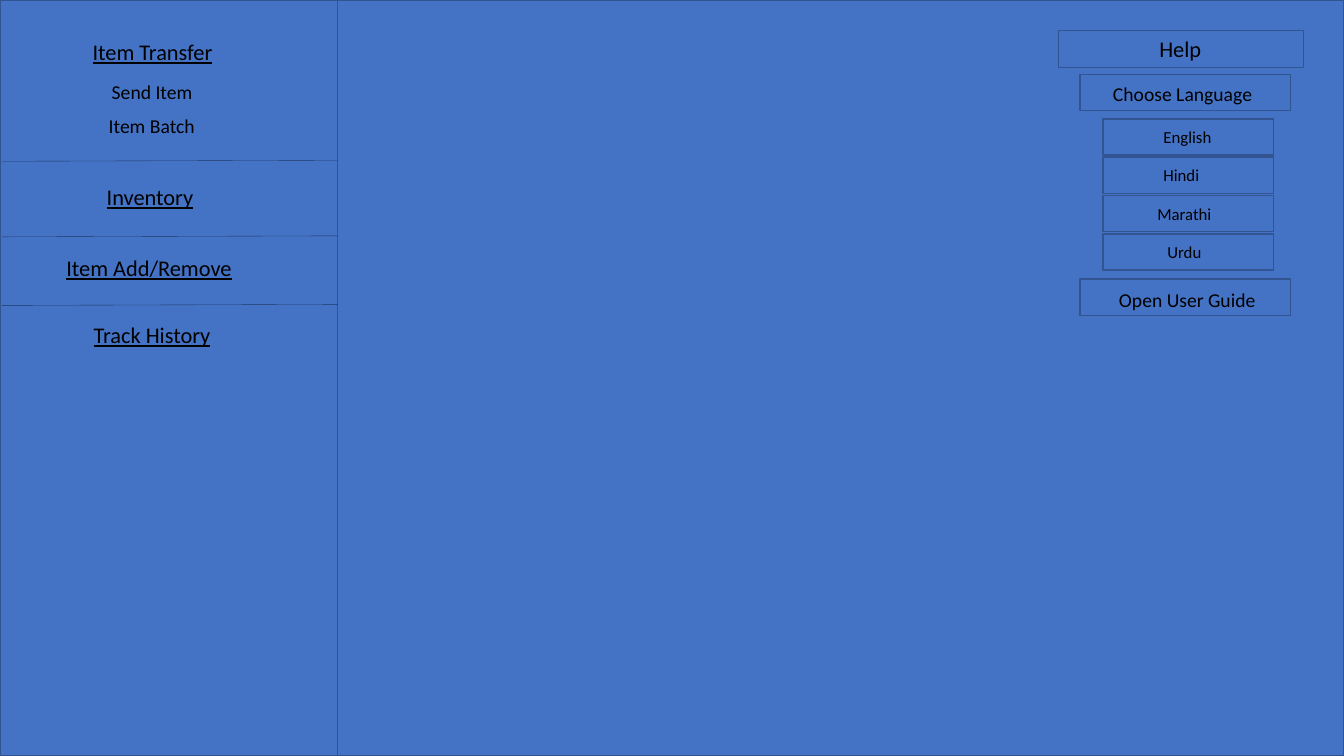
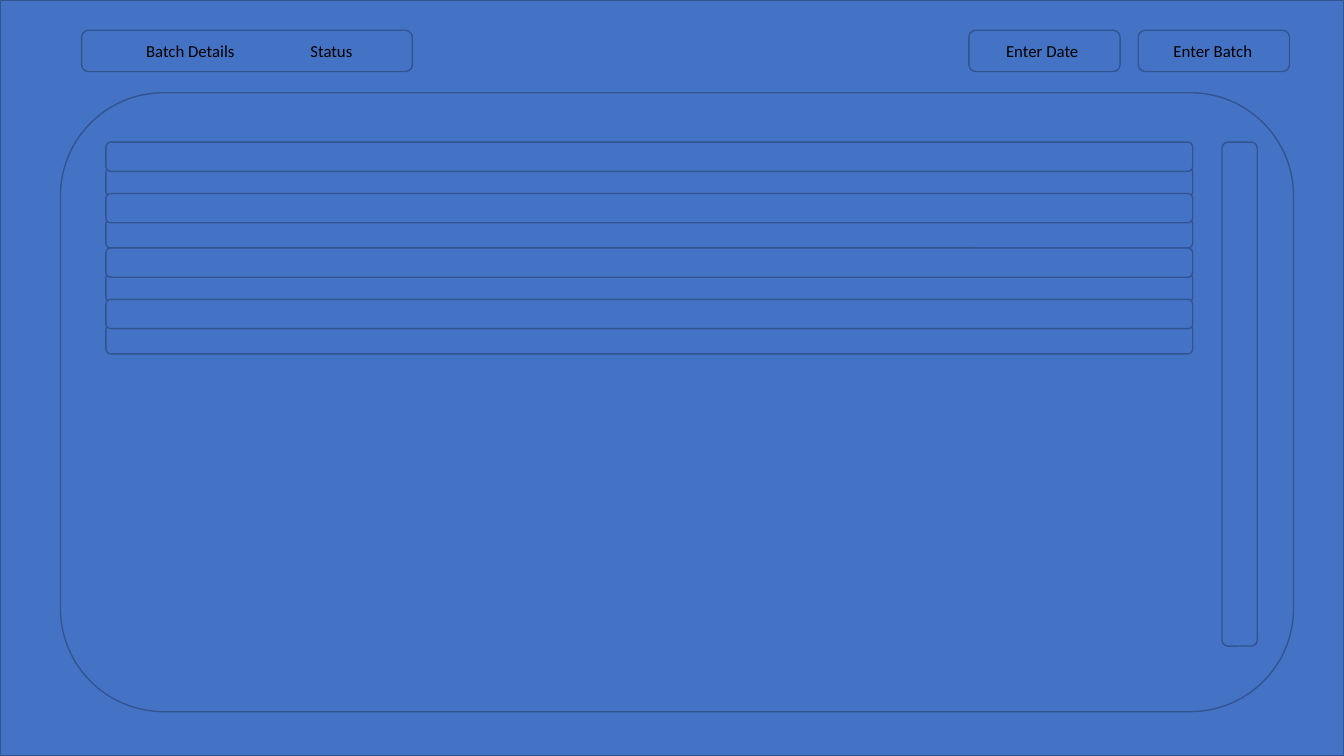
from lxml.etree import SubElement
from pptx import Presentation
from pptx.dml.color import RGBColor
from pptx.enum.shapes import MSO_CONNECTOR, MSO_SHAPE
from pptx.enum.text import MSO_AUTO_SIZE
from pptx.oxml.ns import qn
from pptx.util import Inches, Pt

COLORS = {"fill": "4472C4", "outline": "325491", "divider": "203864", "text": "000000"}
FONT = "Calibri"
SLIDE_WIDTH, SLIDE_HEIGHT = 13.33, 7.5
LABEL_HEIGHTS = {16: 0.37, 14: 0.34, 12: 0.3}  # by text size

# Slide 1: text, left, top, width, size
SIDEBAR_WIDTH = 3.35
MENU_HEADINGS = [
    ("Item Transfer", 0.82, 0.33, 1.41, 16),
    ("Inventory", 0.96, 1.77, 1.06, 16),
    ("Item Add/Remove", 0.56, 2.47, 1.86, 16),
    ("Track History", 0.83, 3.14, 1.38, 16),
]
MENU_ENTRIES = [
    ("Send Item", 1.01, 0.74, 1.01, 14),
    ("Item Batch", 0.98, 1.08, 1.06, 14),
]
DIVIDER_TOPS = [1.59, 2.34, 3.02]

# Box (left, top, width, height), then its label
HELP_BUTTONS = [
    ((10.5, 0.3, 2.43, 0.37), ("Help", 11.4, 0.3, 0.62, 16)),
    ((10.71, 0.74, 2.09, 0.36), ("Choose Language", 10.94, 0.76, 1.64, 14)),
    ((10.71, 2.77, 2.09, 0.36), ("Open User Guide", 11, 2.81, 1.57, 14)),
]
LANGUAGES = [("English", 11.44, 0.68), ("Hindi", 11.44, 0.56),
             ("Marathi", 11.38, 0.74), ("Urdu", 11.48, 0.54)]
LANGUAGE_TOP, LANGUAGE_STEP = 1.18, 0.38

# Slide 2
PANEL = (0.6, 0.92, 12.23, 6.14)
SCROLLBAR = (12.12, 1.41, 0.35, 5)
ROW_LEFT, ROW_TOP, ROW_WIDTH, ROW_HEIGHT = 1.05, 1.41, 10.78, 0.29
BLOCK_STEP, PAIR_STEP, DETAIL_OFFSET = 1.05, 0.51, 0.25
TOOLBAR_BOXES = [(0.81, 0.3, 3.28, 0.41), (9.61, 0.3, 1.5, 0.41), (11.29, 0.3, 1.5, 0.41)]
TOOLBAR_LABELS = [
    ("Batch Details", 1.35, 0.36, 1.09, 12),
    ("Status", 2.98, 0.36, 0.62, 12),
    ("Enter Date", 9.88, 0.36, 0.93, 12),
    ("Enter Batch", 11.54, 0.36, 0.99, 12),
]


def color(name):
    return RGBColor.from_string(COLORS[name])


def add_box(shapes, bounds, preset=MSO_SHAPE.RECTANGLE):
    shape = shapes.add_shape(preset, *map(Inches, bounds))
    shape.shadow.inherit = False
    shape.fill.solid()
    shape.fill.fore_color.rgb = color("fill")
    shape.line.color.rgb = color("outline")
    shape.line.width = Pt(1)


def add_label(shapes, text, left, top, width, size, underline=False):
    bounds = (left, top, width, LABEL_HEIGHTS[size])
    frame = shapes.add_textbox(*map(Inches, bounds)).text_frame
    frame.word_wrap = False
    frame.auto_size = MSO_AUTO_SIZE.SHAPE_TO_FIT_TEXT
    run = frame.paragraphs[0].add_run()
    run.text = text
    run.font.name = FONT
    run.font.size = Pt(size)
    run.font.underline = underline
    run.font.color.rgb = color("text")


def add_divider(shapes, top):
    """Draw a sidebar line that rises slightly to the right."""
    ends = (0.02, top + 0.01, SIDEBAR_WIDTH, top)
    line = shapes.add_connector(MSO_CONNECTOR.STRAIGHT, *map(Inches, ends))
    line.line.color.rgb = color("divider")
    line.line.width = Pt(0.25)
    SubElement(line._element.spPr, qn("a:effectLst"))


def add_screen(presentation):
    """Add a blank slide with the full-size background; return its shapes."""
    shapes = presentation.slides.add_slide(presentation.slide_layouts[6]).shapes
    add_box(shapes, (0, 0, SLIDE_WIDTH, SLIDE_HEIGHT))
    return shapes


def build_menu_screen(presentation):
    shapes = add_screen(presentation)
    add_box(shapes, (0, 0, SIDEBAR_WIDTH, SLIDE_HEIGHT))
    for heading in MENU_HEADINGS:
        add_label(shapes, *heading, underline=True)
    for entry in MENU_ENTRIES:
        add_label(shapes, *entry)
    for top in DIVIDER_TOPS:
        add_divider(shapes, top)

    for bounds, label in HELP_BUTTONS:
        add_box(shapes, bounds)
        add_label(shapes, *label)
    for index, (language, left, width) in enumerate(LANGUAGES):
        top = LANGUAGE_TOP + index * LANGUAGE_STEP
        add_box(shapes, (10.94, top, 1.69, 0.36))
        add_label(shapes, language, left, top + 0.03, width, 12)


def build_batch_screen(presentation):
    shapes = add_screen(presentation)
    rounded = MSO_SHAPE.ROUNDED_RECTANGLE
    panel_shapes = shapes.add_group_shape().shapes
    add_box(panel_shapes, PANEL, rounded)
    add_box(panel_shapes, SCROLLBAR, rounded)
    for block in range(2):
        for pair in range(2):
            top = ROW_TOP + block * BLOCK_STEP + pair * PAIR_STEP
            # The detail row lies behind the row above it
            for row_top in (top + DETAIL_OFFSET, top):
                add_box(panel_shapes, (ROW_LEFT, row_top, ROW_WIDTH, ROW_HEIGHT), rounded)

    for bounds in TOOLBAR_BOXES:
        add_box(shapes, bounds, rounded)
    for label in TOOLBAR_LABELS:
        add_label(shapes, *label)


def main():
    presentation = Presentation()
    presentation.slide_width = Inches(SLIDE_WIDTH)
    presentation.slide_height = Inches(SLIDE_HEIGHT)
    build_menu_screen(presentation)
    build_batch_screen(presentation)
    presentation.save("out.pptx")


if __name__ == "__main__":
    main()
